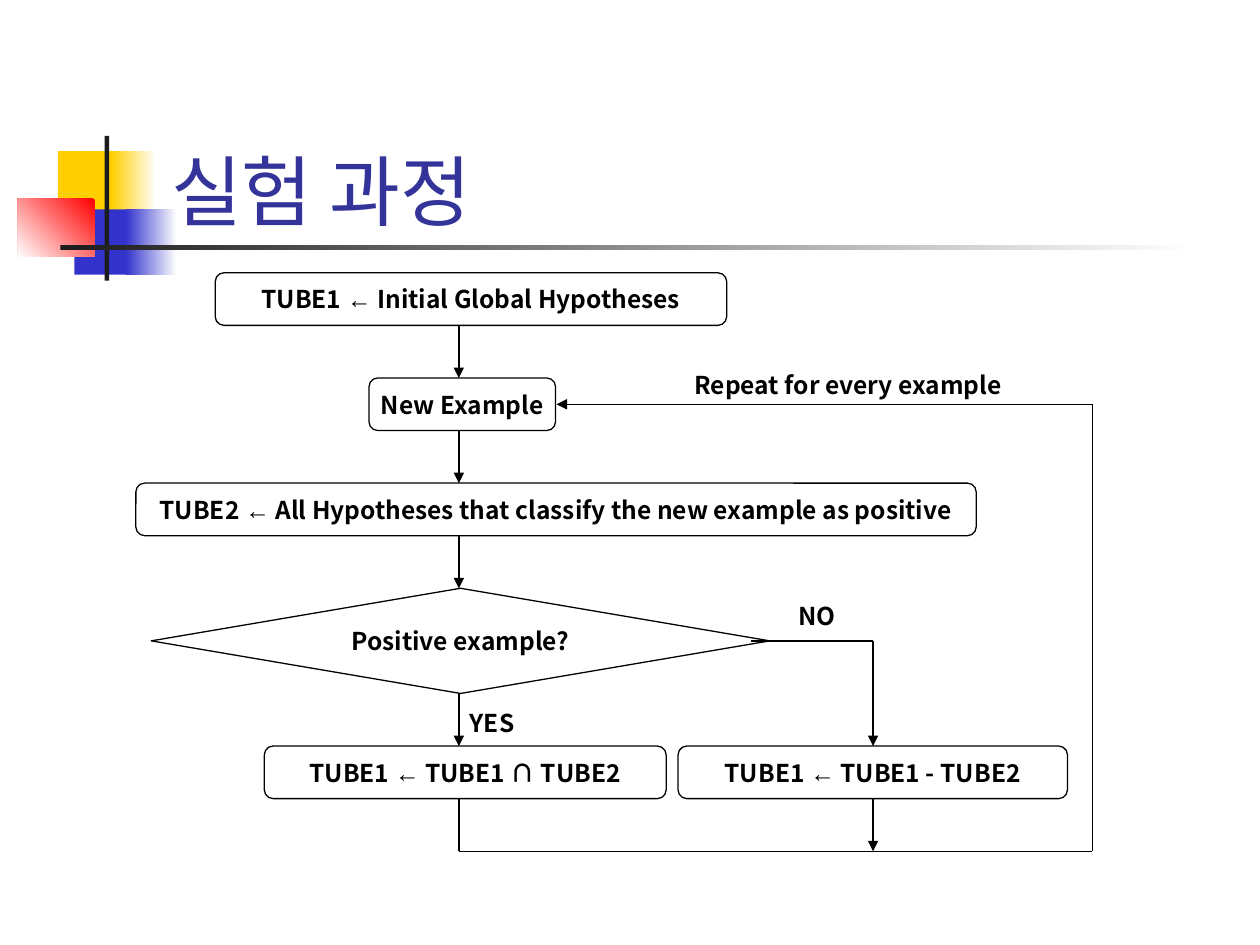
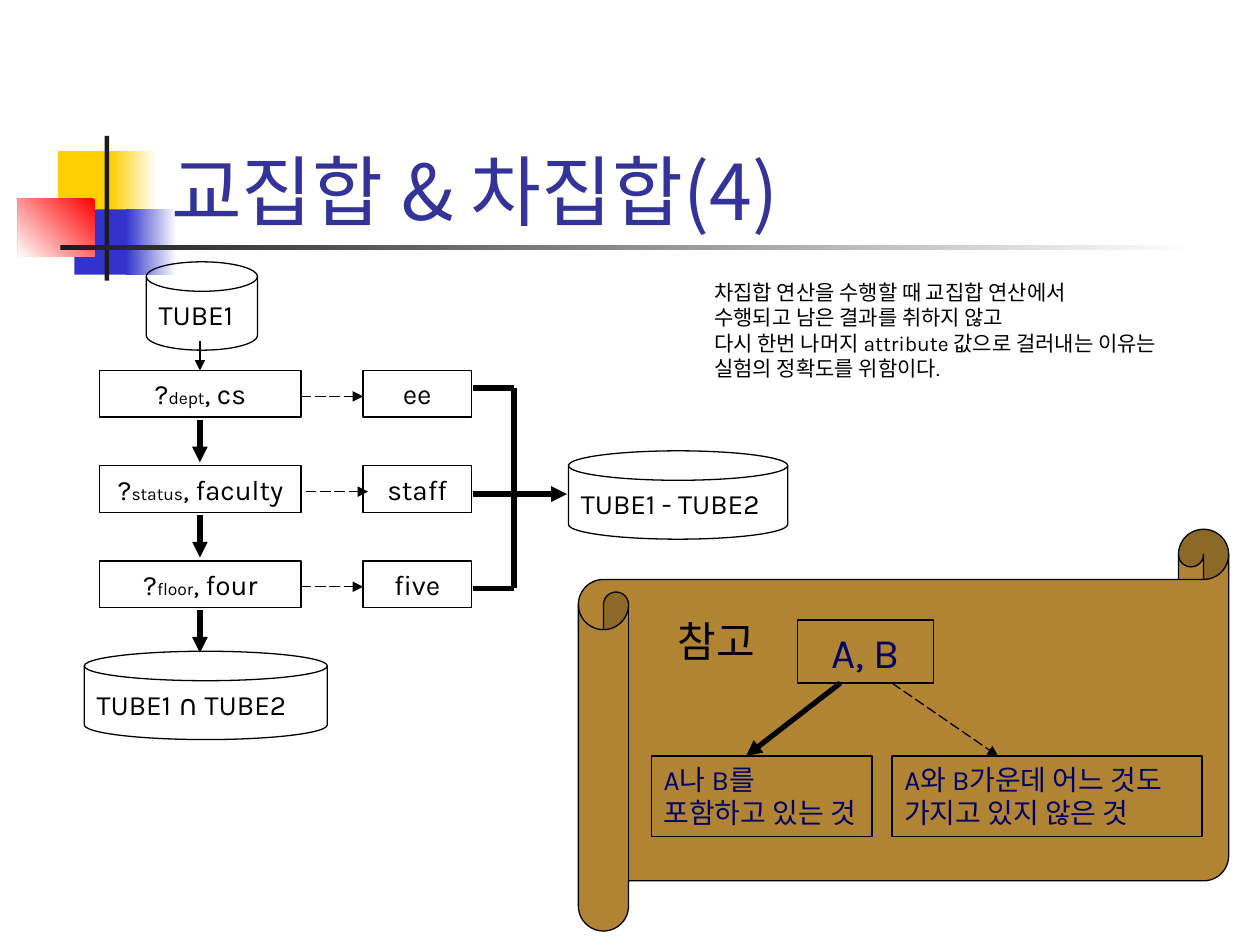
from lxml.etree import SubElement
from pptx import Presentation
from pptx.dml.color import RGBColor
from pptx.enum.dml import MSO_LINE
from pptx.enum.shapes import MSO_CONNECTOR, MSO_SHAPE
from pptx.enum.text import MSO_ANCHOR, PP_ALIGN
from pptx.oxml.ns import qn
from pptx.util import Cm, Pt

KOREAN, KARLA, ARIAL = "Noto Sans CJK KR", "Karla", "Arial"
BLACK, WHITE, NAVY = "000000", "FFFFFF", "000066"
YELLOW, BLUE, RED, CHARCOAL = "FFCF01", "3333CC", "FF0000", "1C1C1C"
TITLE_BLUE, PARCHMENT = "333399", "B18433"

# Flowchart grid
FLOW_TOP, FLOW_STEP = 5.5, 1.06
SPINE_X, NO_X, RETURN_X = 9.25, 17.6, 22.02

# Condition rows
ROW_TOP, ROW_PITCH, ROW_H = 7.47, 1.92, 0.94
ROW_ARROW_X = 4.03


def rgb(color):
    return RGBColor.from_string(color)


def add_shape(s, kind, box, fill=None, line=BLACK):
    sp = s.shapes.add_shape(kind, *map(Cm, box))
    sp.shadow.inherit = False
    if fill:
        sp.fill.solid()
        sp.fill.fore_color.rgb = rgb(fill)
    else:
        sp.fill.background()
    if line:
        sp.line.color.rgb = rgb(line)
        sp.line.width = Pt(0.75)
    else:
        sp.line.fill.background()
    return sp


def add_fade(s, box, color, angle=0):
    """Rectangle fading from a colour to white."""
    sp = add_shape(s, MSO_SHAPE.RECTANGLE, box, line=None)
    sp.fill.gradient()
    sp.fill.gradient_angle = angle
    for stop, stop_color, position in zip(sp.fill.gradient_stops, (color, WHITE), (0, 1)):
        stop.color.rgb = rgb(stop_color)
        stop.position = position


def write(sp, lines, size, font=KARLA, color=BLACK, bold=False, align=PP_ALIGN.LEFT,
          anchor=MSO_ANCHOR.TOP, insets=(0.25, 0.13), wrap=True):
    """Fill a shape; each line is a string or a list of (text, overrides) runs."""
    tf = sp.text_frame
    tf.word_wrap = wrap
    tf.vertical_anchor = anchor
    tf.margin_left = tf.margin_right = Cm(insets[0])
    tf.margin_top = tf.margin_bottom = Cm(insets[1])
    for i, line in enumerate(lines):
        p = tf.paragraphs[0] if i == 0 else tf.add_paragraph()
        p.alignment = align
        for text, changes in [(line, {})] if isinstance(line, str) else line:
            r = p.add_run()
            r.text = text
            name = changes.get("font", font)
            r.font.name = name
            r.font.size = Pt(changes.get("size", size))
            r.font.bold = bold
            r.font.color.rgb = rgb(color)
            east_asian = KOREAN if name == KARLA else name
            SubElement(r.font._element, qn("a:ea"), typeface=east_asian)


def add_text(s, box, lines, size, **style):
    write(s.shapes.add_textbox(*map(Cm, box)), lines, size, **style)


def add_line(s, start, end, width=0.75, arrow=True, dashed=False):
    line = s.shapes.add_connector(MSO_CONNECTOR.STRAIGHT, *map(Cm, start + end))
    line.line.color.rgb = rgb(BLACK)
    line.line.width = Pt(width)
    if dashed:
        line.line.dash_style = MSO_LINE.LONG_DASH
    if arrow:
        SubElement(line.line._get_or_add_ln(), qn("a:tailEnd"), type="triangle")
    SubElement(line._element.spPr, qn("a:effectLst"))


def add_titled_slide(prs, title):
    s = prs.slides.add_slide(prs.slide_layouts[6])
    add_shape(s, MSO_SHAPE.RECTANGLE, (1.17, 3.05, 1.22, 1.32), YELLOW, None)
    add_fade(s, (2.24, 3.05, 0.91, 1.32), YELLOW)
    add_shape(s, MSO_SHAPE.RECTANGLE, (1.5, 4.22, 1.17, 1.32), BLUE, None)
    add_fade(s, (2.54, 4.22, 1.02, 1.32), BLUE)
    add_fade(s, (0.36, 4.01, 1.55, 1.17), RED, 225)
    add_shape(s, MSO_SHAPE.RECTANGLE, (2.11, 2.74, 0.09, 2.92), CHARCOAL, None)
    add_fade(s, (1.22, 4.94, 22.86, 0.1), CHARCOAL)
    add_text(s, (3.2, 1.7, 21.64, 3.18), [title], 44, font=KOREAN,
             color=TITLE_BLUE, anchor=MSO_ANCHOR.BOTTOM)
    return s


def flow_y(step):
    return FLOW_TOP + step * FLOW_STEP


def assign(target, value):
    """Runs for an assignment written with a left arrow."""
    return [(target + " ", {}), ("←", {"font": ARIAL}), (" " + value, {})]


def build_process_slide(prs):
    s = add_titled_slide(prs, "실험 과정")
    style = dict(size=14, font=KOREAN, bold=True, align=PP_ALIGN.CENTER,
                 anchor=MSO_ANCHOR.MIDDLE, insets=(0, 0))
    step_box, decision = MSO_SHAPE.FLOWCHART_ALTERNATE_PROCESS, MSO_SHAPE.FLOWCHART_DECISION
    for kind, x, step, width, steps, line in (
        (step_box, 4.34, 0, 10.31, 1, assign("TUBE1", "Initial Global Hypotheses")),
        (step_box, 7.44, 2, 3.76, 1, "New Example"),
        (step_box, 2.74, 4, 16.94, 1,
         assign("TUBE2", "All Hypotheses that classify the new example as positive")),
        (decision, 3.05, 6, 12.47, 2, "Positive example?"),
        (step_box, 5.33, 9, 8.1, 1, assign("TUBE1", "TUBE1 ∩ TUBE2")),
        (step_box, 13.67, 9, 7.85, 1, assign("TUBE1", "TUBE1 - TUBE2")),
    ):
        sp = add_shape(s, kind, (x, flow_y(step), width, steps * FLOW_STEP), WHITE)
        write(sp, [line], **style)

    for step in (1, 3, 5, 8):
        add_line(s, (SPINE_X, flow_y(step)), (SPINE_X, flow_y(step + 1)))
    add_line(s, (15.14, flow_y(7)), (NO_X, flow_y(7)), arrow=False)
    add_line(s, (NO_X, flow_y(7)), (NO_X, flow_y(9)))
    add_line(s, (NO_X, flow_y(10)), (NO_X, flow_y(11)))

    loop = [(SPINE_X, flow_y(10)), (SPINE_X, flow_y(11)), (RETURN_X, flow_y(11)),
            (RETURN_X, flow_y(2.5)), (11.22, flow_y(2.5))]
    for start, end in zip(loop, loop[1:]):
        add_line(s, start, end, arrow=end == loop[-1])

    for box, label in (
        ((8.69, 13.77, 2.46, 1.6), "YES"),
        ((15.24, 11.63, 2.46, 1.57), "NO"),
        ((13.67, 6.99, 6.86, 1.55), "Repeat for every example"),
    ):
        add_text(s, box, [label], **style)


def build_difference_slide(prs):
    s = add_titled_slide(prs, "교집합 & 차집합(4)")
    for x, y, width, label in (
        (2.95, 5.28, 2.24, "TUBE1"),
        (1.7, 13.13, 4.9, "TUBE1 ∩ TUBE2"),
        (11.46, 9.09, 4.42, "TUBE1 - TUBE2"),
    ):
        disk = add_shape(s, MSO_SHAPE.FLOWCHART_MAGNETIC_DISK, (x, y, width, 1.78))
        write(disk, [label], 16)

    add_line(s, (ROW_ARROW_X, 6.88), (ROW_ARROW_X, ROW_TOP))
    for i, (attribute, value, other, dash_x) in enumerate((
        ("dept", "cs", "ee", 6.07),
        ("status", "faculty", "staff", 6.17),
        ("floor", "four", "five", 6.07),
    )):
        y = ROW_TOP + i * ROW_PITCH
        condition = [("?", {}), (attribute, {"size": 10}), (", " + value, {})]
        for x, width, line in ((2.01, 4.06, condition), (7.32, 2.18, other)):
            sp = add_shape(s, MSO_SHAPE.RECTANGLE, (x, y, width, ROW_H))
            write(sp, [line], 16, align=PP_ALIGN.CENTER)
        add_line(s, (ROW_ARROW_X, y + 0.99), (ROW_ARROW_X, y + 1.85), 3)
        add_line(s, (dash_x, y + 0.52), (dash_x + 1.25, y + 0.52), dashed=True)

    for y, end_x in ((7.82, 10.36), (9.96, 11.43), (11.86, 10.36)):
        add_line(s, (9.53, y), (end_x, y), 3, arrow=end_x > 11)
    add_line(s, (10.36, 7.82), (10.36, 11.86), 3, arrow=False)

    add_shape(s, MSO_SHAPE.HORIZONTAL_SCROLL, (11.66, 10.67, 13.11, 8.1), PARCHMENT)
    pair = add_shape(s, MSO_SHAPE.RECTANGLE, (16.08, 12.5, 2.74, 1.27))
    write(pair, ["A, B"], 24, color=NAVY, align=PP_ALIGN.CENTER)
    add_line(s, (16.94, 13.77), (15.04, 15.24), 3)
    add_line(s, (17.98, 13.77), (20.12, 15.24), dashed=True)
    for x, width, lines in (
        (13.13, 4.45, ["A나 B를", "포함하고 있는 것"]),
        (17.98, 6.25, ["A와 B가운데 어느 것도", "가지고 있지 않은 것"]),
    ):
        sp = add_shape(s, MSO_SHAPE.RECTANGLE, (x, 15.24, width, 1.63))
        write(sp, lines, 16, color=NAVY, wrap=False)
    add_text(s, (13.41, 12.27, 2.06, 1.27), ["참고"], 24, wrap=False)
    add_text(s, (14.15, 5.51, 9.88, 2.29), [
        "차집합 연산을 수행할 때 교집합 연산에서",
        "수행되고 남은 결과를 취하지 않고",
        "다시 한번 나머지 attribute 값으로 걸러내는 이유는",
        "실험의 정확도를 위함이다.",
    ], 12, wrap=False)


def main():
    prs = Presentation()
    prs.slide_width, prs.slide_height = Cm(25.4), Cm(19.05)
    build_process_slide(prs)
    build_difference_slide(prs)
    prs.save("out.pptx")


if __name__ == "__main__":
    main()
